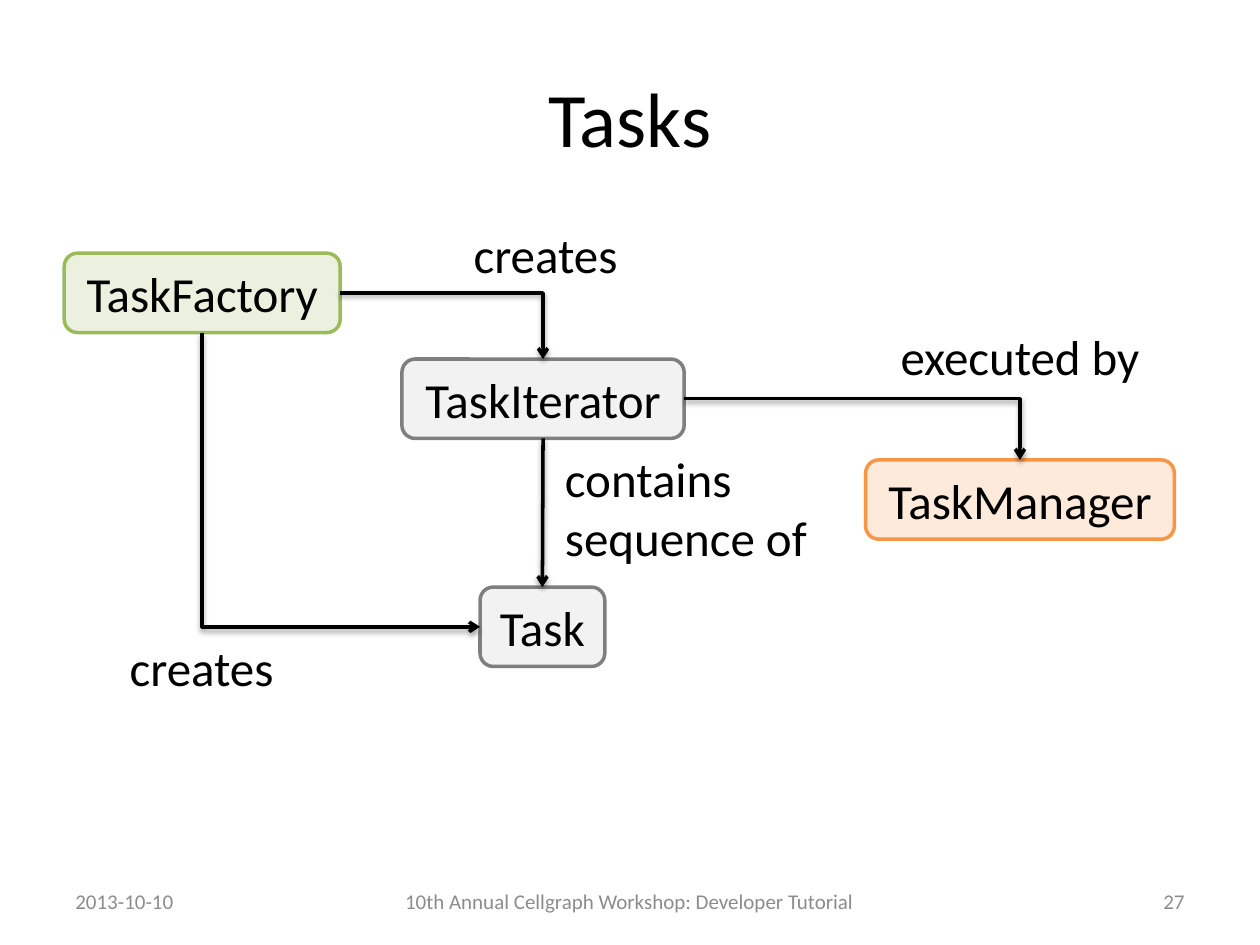
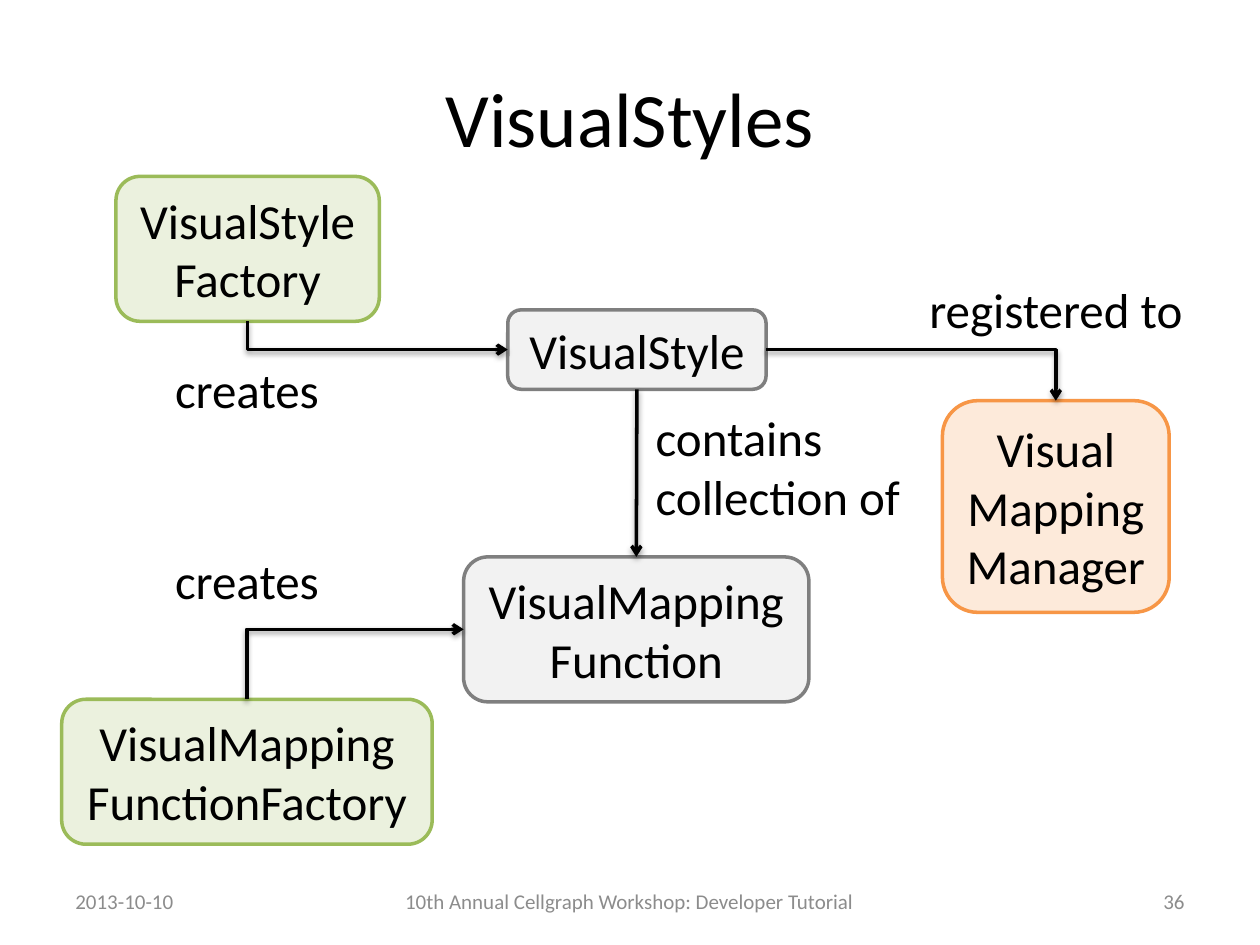
from pptx import Presentation
from pptx.dml.color import RGBColor as Rgb
from pptx.enum.shapes import MSO_CONNECTOR as Line, MSO_SHAPE as Form
from pptx.enum.text import MSO_ANCHOR as Anchor, MSO_AUTO_SIZE as Auto, PP_ALIGN as Align
from pptx.oxml import parse_xml
from pptx.util import Pt

PX = 9144
FONT = "Calibri"
HUES = {
    "ink": "000000", "foot": "8C8C8C",
    "green": "9BBB59", "mint": "EBF1DE",
    "gray": "7F7F7F", "pale": "F2F2F2",
    "orange": "F79646", "peach": "FDEADA",
}
KINDS = {"maker": ("mint", "green"), "item": ("pale", "gray"), "host": ("peach", "orange")}
SITES = {"top": 0, "left": 1, "bottom": 2, "right": 3}
NS = 'xmlns:a="http://schemas.openxmlformats.org/drawingml/2006/main"'
SHADOW = (
    f'<a:effectLst {NS}><a:outerShdw blurRad="40000" dist="20000" dir="5400000" rotWithShape="0">'
    '<a:srgbClr val="000000"><a:alpha val="38000"/></a:srgbClr></a:outerShdw></a:effectLst>'
)


class Deck:
    def __init__(self):
        self.show = Presentation()
        self.show.slide_width, self.show.slide_height = 1000 * PX, 750 * PX
        self.slide = None

    def hue(self, name):
        return Rgb.from_string(HUES[name])

    def page(self, title, number):
        self.slide = self.show.slides.add_slide(self.show.slide_layouts[6])
        self.text(50, 30, 900, 125, title, 44)
        self.text(50, 695, 233, 40, "2013-10-10", 12, Align.LEFT, "foot")
        self.text(283, 695, 433, 40, "10th Annual Cellgraph Workshop: Developer Tutorial", 12, hue="foot")
        self.text(717, 695, 233, 40, str(number), 12, Align.RIGHT, "foot")

    def fill(self, shape, words, size, align, hue):
        frame = shape.text_frame
        frame.vertical_anchor = Anchor.MIDDLE
        for i, line in enumerate(words.split("\n")):
            para = frame.add_paragraph() if i else frame.paragraphs[0]
            para.alignment = align
            run = para.add_run()
            run.text = line
            run.font.name, run.font.size = FONT, Pt(size)
            run.font.color.rgb = self.hue(hue)
        return frame

    def text(self, x, y, w, h, words, size, align=Align.CENTER, hue="ink"):
        shape = self.slide.shapes.add_textbox(x * PX, y * PX, w * PX, h * PX)
        self.fill(shape, words, size, align, hue).word_wrap = True

    def label(self, x, y, w, h, words, align=Align.CENTER):
        shape = self.slide.shapes.add_shape(Form.ROUNDED_RECTANGLE, x * PX, y * PX, w * PX, h * PX)
        shape.shadow.inherit = False
        shape.fill.background()
        shape.line.fill.background()
        frame = self.fill(shape, words, 28, align, "ink")
        frame.word_wrap = False
        frame.auto_size = Auto.SHAPE_TO_FIT_TEXT
        return shape

    def box(self, x, y, w, h, words, kind):
        shape = self.label(x, y, w, h, words)
        fill, edge = KINDS[kind]
        shape.fill.solid()
        shape.fill.fore_color.rgb = self.hue(fill)
        shape.line.color.rgb = self.hue(edge)
        shape.line.width = Pt(2)
        return shape

    def link(self, start, side, goal, entry):
        ends = [(start, SITES[side]), (goal, SITES[entry])]
        tip = "tailEnd"
        if entry == "left":
            ends.reverse()
            tip = "headEnd"
        bent = side != "bottom" or entry != "top"
        wire = self.slide.shapes.add_connector(Line.ELBOW if bent else Line.STRAIGHT, 0, 0, 0, 0)
        wire.begin_connect(*ends[0])
        wire.end_connect(*ends[1])
        wire.line.color.rgb = self.hue("ink")
        wire.line.width = Pt(2)
        props = wire._element.spPr
        if bent:
            props.prstGeom.set("prst", "bentConnector2")
        props.ln.append(parse_xml(f'<a:{tip} {NS} type="arrow"/>'))
        props.append(parse_xml(SHADOW))


def tasks(deck):
    deck.page("Tasks", 27)
    maker = deck.box(51, 201, 219, 63, "TaskFactory", "maker")
    steps = deck.box(319, 285, 224, 63, "TaskIterator", "item")
    task = deck.box(381, 466, 99, 63, "Task", "item")
    host = deck.box(687, 365, 245, 63, "TaskManager", "host")
    deck.link(maker, "right", steps, "top")
    deck.link(steps, "bottom", task, "top")
    deck.link(maker, "bottom", task, "left")
    deck.link(steps, "right", host, "top")
    deck.label(362, 170, 142, 63, "creates")
    deck.label(433, 345, 226, 115, "contains\nsequence of", Align.LEFT)
    deck.label(89, 498, 142, 63, "creates")
    deck.label(700, 251, 219, 63, "executed by")


def styles(deck):
    deck.page("VisualStyles", 36)
    maker = deck.box(92, 140, 209, 115, "VisualStyle\nFactory", "maker")
    style = deck.box(403, 246, 205, 63, "VisualStyle", "item")
    rule = deck.box(368, 442, 274, 115, "VisualMapping\nFunction", "item")
    host = deck.box(748, 318, 180, 168, "Visual\nMapping\nManager", "host")
    plant = deck.box(49, 555, 294, 115, "VisualMapping\nFunctionFactory", "maker")
    deck.link(maker, "bottom", style, "left")
    deck.link(style, "bottom", rule, "top")
    deck.link(style, "right", host, "top")
    deck.link(plant, "top", rule, "left")
    deck.label(505, 313, 227, 115, "contains\ncollection of", Align.LEFT)
    deck.label(723, 214, 230, 63, "registered to")
    for y in (277, 429):
        deck.label(125, y, 142, 63, "creates")


def main():
    deck = Deck()
    tasks(deck)
    styles(deck)
    deck.show.save("out.pptx")


if __name__ == "__main__":
    main()
